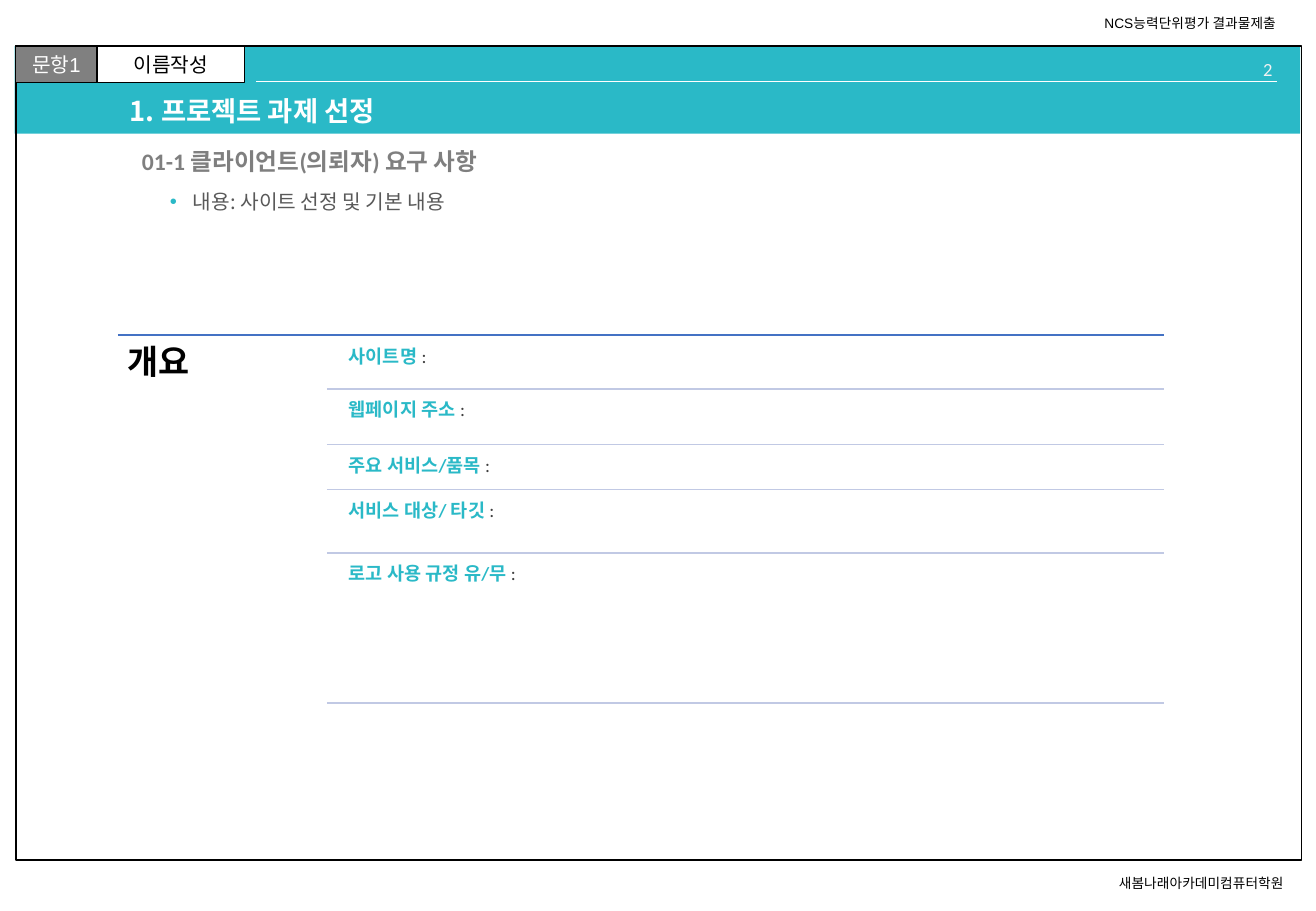
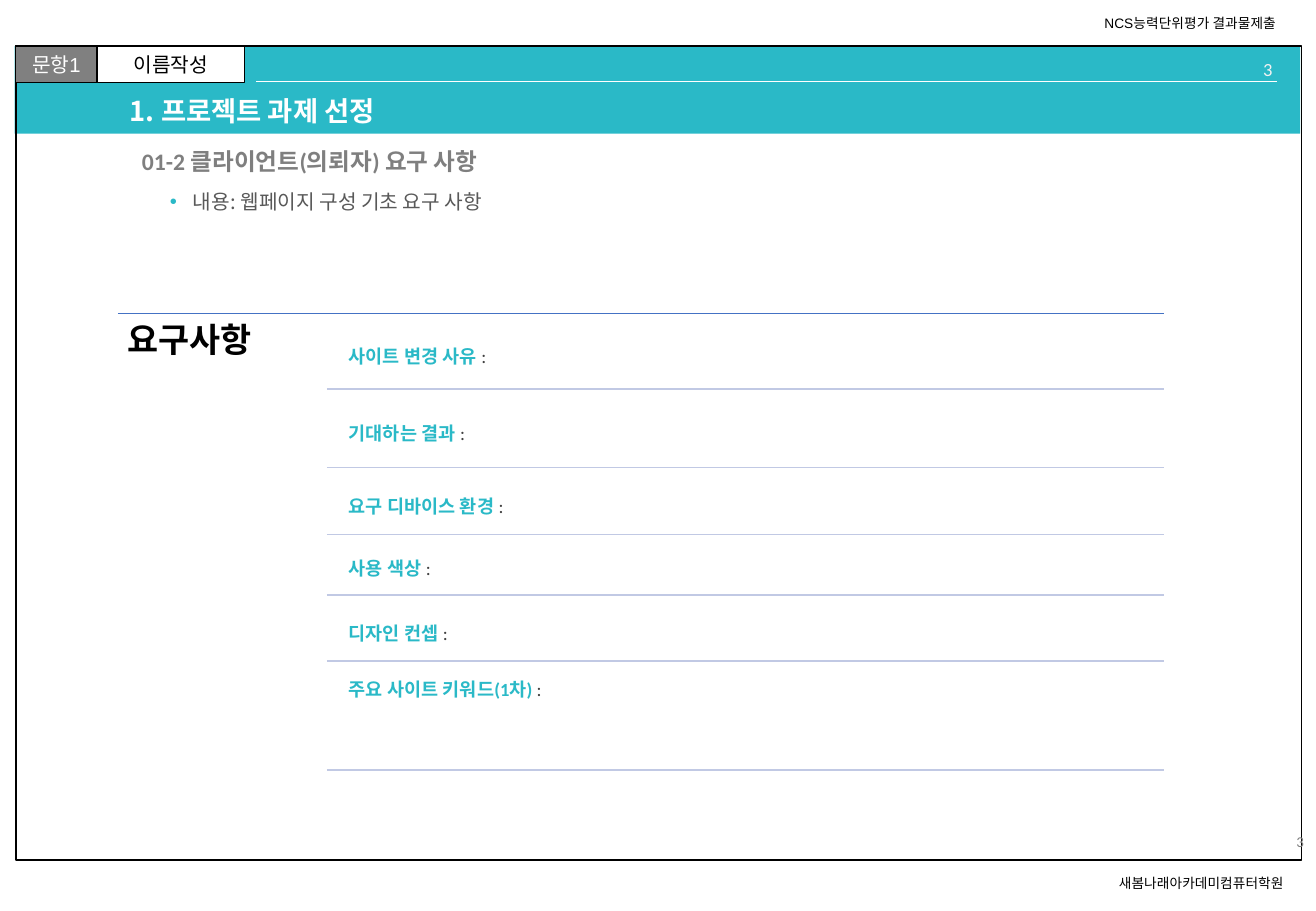
from dataclasses import dataclass

from lxml.etree import SubElement
from pptx import Presentation
from pptx.dml.color import RGBColor
from pptx.enum.shapes import MSO_CONNECTOR, MSO_SHAPE
from pptx.enum.text import MSO_ANCHOR, PP_ALIGN
from pptx.oxml.ns import qn
from pptx.util import Inches, Pt

COLORS = {
    "teal": "2AB9C7", "blue": "4472C4", "lavender": "C1C9E4",
    "black": "000000", "white": "FFFFFF", "pale": "F2F2F2",
    "gray": "808080", "subtitle": "7F7F7F", "body": "595959", "colon": "404040",
}
KOREAN_FONT = "Noto Sans CJK KR"

# Text styles: colour key plus font attributes
STYLES = {
    "margin": ("black", {"name": "Arial", "size": Pt(8.1)}),
    "tag": ("white", {"name": "Arial", "size": Pt(12)}),
    "name": ("black", {"name": "Arial", "size": Pt(12)}),
    "page": ("pale", {"name": "Calibri", "size": Pt(11)}),
    "corner": ("gray", {"name": "Calibri", "size": Pt(8.9)}),
    "title": ("white", {"name": KOREAN_FONT, "size": Pt(16.2), "bold": True}),
    "subtitle": ("subtitle", {"name": "Calibri", "size": Pt(14), "bold": True}),
    "body": ("body", {"name": KOREAN_FONT, "size": Pt(12)}),
    "heading": ("black", {"name": "Calibri", "size": Pt(20), "bold": True}),
    "label": ("teal", {"name": "Calibri", "size": Pt(11), "bold": True}),
    "colon": ("colon", {"name": "Calibri", "size": Pt(11)}),
}


@dataclass
class Row:
    label: str
    top: float
    rule: float
    anchor: MSO_ANCHOR = MSO_ANCHOR.TOP


@dataclass
class Section:
    number: int
    subtitle: str
    content: str
    heading: str
    top: float
    line_spacing: float
    rows: list
    corner_number: bool = False


class Deck:
    def __init__(self):
        self.presentation = Presentation()
        self.presentation.slide_width = Inches(10.83)
        self.presentation.slide_height = Inches(7.5)
        self.slide = None

    def color(self, key):
        return RGBColor.from_string(COLORS[key])

    def fill_text(self, shape, runs, align=PP_ALIGN.LEFT, anchor=MSO_ANCHOR.TOP,
                  inset=None, wrap=True, **spacing):
        """Fill a shape with one paragraph of (text, style) runs."""
        frame = shape.text_frame
        frame.word_wrap = wrap
        frame.vertical_anchor = anchor
        if inset is not None:
            for side in ("left", "top", "right", "bottom"):
                setattr(frame, f"margin_{side}", Inches(inset))
        paragraph = frame.paragraphs[0]
        paragraph.alignment = align
        for attribute, value in spacing.items():
            setattr(paragraph, attribute, value)
        for text, style in runs:
            run = paragraph.add_run()
            run.text = text
            color, values = STYLES[style]
            for attribute, value in values.items():
                setattr(run.font, attribute, value)
            run.font.color.rgb = self.color(color)
            SubElement(run._r.get_or_add_rPr(), qn("a:ea"), typeface=KOREAN_FONT)
        return paragraph

    def text(self, box, runs, **options):
        shape = self.slide.shapes.add_textbox(*map(Inches, box))
        return self.fill_text(shape, runs, **options)

    def rectangle(self, box, fill=None, line=None, width=1):
        shape = self.slide.shapes.add_shape(MSO_SHAPE.RECTANGLE, *map(Inches, box))
        shape.shadow.inherit = False
        if fill:
            shape.fill.solid()
            shape.fill.fore_color.rgb = self.color(fill)
        else:
            shape.fill.background()
        if line:
            shape.line.color.rgb = self.color(line)
            shape.line.width = Pt(width)
        else:
            shape.line.fill.background()
        return shape

    def rule(self, left, right, top, color, width=1):
        connector = self.slide.shapes.add_connector(
            MSO_CONNECTOR.STRAIGHT, *map(Inches, (left, top, right, top)))
        connector.line.color.rgb = self.color(color)
        connector.line.width = Pt(width)
        SubElement(connector._element.spPr, qn("a:effectLst"))

    def bullet(self, paragraph, color):
        properties = paragraph._p.get_or_add_pPr()
        properties.set("marL", str(Inches(0.19)))
        properties.set("indent", str(-Inches(0.19)))
        bullet_color = SubElement(properties, qn("a:buClr"))
        SubElement(bullet_color, qn("a:srgbClr"), val=COLORS[color])
        SubElement(properties, qn("a:buFont"), typeface="Arial")
        SubElement(properties, qn("a:buChar"), char="•")

    def frame(self, number):
        """Start a slide with the shared band, border, tags and margin texts."""
        self.slide = self.presentation.slides.add_slide(self.presentation.slide_layouts[6])
        self.rectangle((0.12, 0.38, 10.58, 0.72), fill="teal")
        self.rectangle((0.13, 0.38, 10.58, 6.7), line="black")
        self.text((9.11, 7.15, 1.68, 0.24), [("새봄나래아카데미컴퓨터학원", "margin")], wrap=False)
        self.text((8.99, 0.07, 1.72, 0.24), [("NCS능력단위평가 결과물제출", "margin")], wrap=False)
        for left, width, fill, text, style in (
                (0.13, 0.67, "gray", "문항1", "tag"),
                (0.8, 1.21, "white", "이름작성", "name")):
            tag = self.rectangle((left, 0.38, width, 0.3), fill, "black", 0.75)
            self.fill_text(tag, [(text, style)], align=PP_ALIGN.CENTER,
                           anchor=MSO_ANCHOR.MIDDLE, inset=0.05)
        self.text((9.39, 0.43, 1.18, 0.2), [(str(number), "page")], align=PP_ALIGN.RIGHT)
        self.rule(2.11, 10.51, 0.67, "white", 0.5)

    def titles(self, subtitle, content):
        self.text((0.97, 0.76, 8.76, 0.34), [("1. 프로젝트 과제 선정", "title")],
                  anchor=MSO_ANCHOR.MIDDLE, line_spacing=0.9)
        self.text((1.07, 1.17, 8.66, 0.34), [(subtitle, "subtitle")],
                  anchor=MSO_ANCHOR.MIDDLE, line_spacing=0.9, space_before=Pt(10))
        paragraph = self.text((1.3, 1.51, 8.43, 0.34), [(content, "body")], space_before=Pt(3))
        self.bullet(paragraph, "teal")

    def outline(self, section):
        """Draw the heading column and the ruled rows beside it."""
        self.rule(0.97, 9.58, section.top, "blue")
        height = section.rows[-1].rule - section.top
        self.text((0.97, section.top, 1.72, height), [(section.heading, "heading")],
                  inset=0.08, line_spacing=0.9)
        for row in section.rows:
            self.text((2.82, row.top, 6.75, row.rule - row.top),
                      [(row.label + " ", "label"), (":", "colon")],
                      anchor=row.anchor, inset=0.05, line_spacing=section.line_spacing)
            self.rule(2.69, 9.58, row.rule, "lavender")

    def add(self, section):
        self.frame(section.number)
        self.titles(section.subtitle, section.content)
        if section.corner_number:
            self.text((9.53, 6.82, 1.3, 0.23), [(str(section.number), "corner")],
                      align=PP_ALIGN.RIGHT, anchor=MSO_ANCHOR.BOTTOM)
        self.outline(section)


# Slide contents
SECTIONS = [
    Section(2, "01-1 클라이언트(의뢰자) 요구 사항", "내용: 사이트 선정 및 기본 내용",
            "개요", 2.76, 0.9, [
                Row("사이트명", 2.81, 3.2),
                Row("웹페이지 주소", 3.25, 3.66),
                Row("주요 서비스/품목", 3.71, 4.03),
                Row("서비스 대상/ 타깃", 4.08, 4.55),
                Row("로고 사용 규정 유/무", 4.6, 5.79),
            ]),
    Section(3, "01-2 클라이언트(의뢰자) 요구 사항", "내용: 웹페이지 구성 기초 요구 사항",
            "요구사항", 2.58, 1.0, [
                Row("사이트 변경 사유", 2.66, 3.2, MSO_ANCHOR.MIDDLE),
                Row("기대하는 결과", 3.28, 3.85, MSO_ANCHOR.MIDDLE),
                Row("요구 디바이스 환경", 3.94, 4.4, MSO_ANCHOR.MIDDLE),
                Row("사용 색상", 4.46, 4.9, MSO_ANCHOR.MIDDLE),
                Row("디자인 컨셉", 4.99, 5.44, MSO_ANCHOR.MIDDLE),
                Row("주요 사이트 키워드(1차)", 5.53, 6.34),
            ], corner_number=True),
]


def main():
    deck = Deck()
    for section in SECTIONS:
        deck.add(section)
    deck.presentation.save("out.pptx")


if __name__ == "__main__":
    main()
